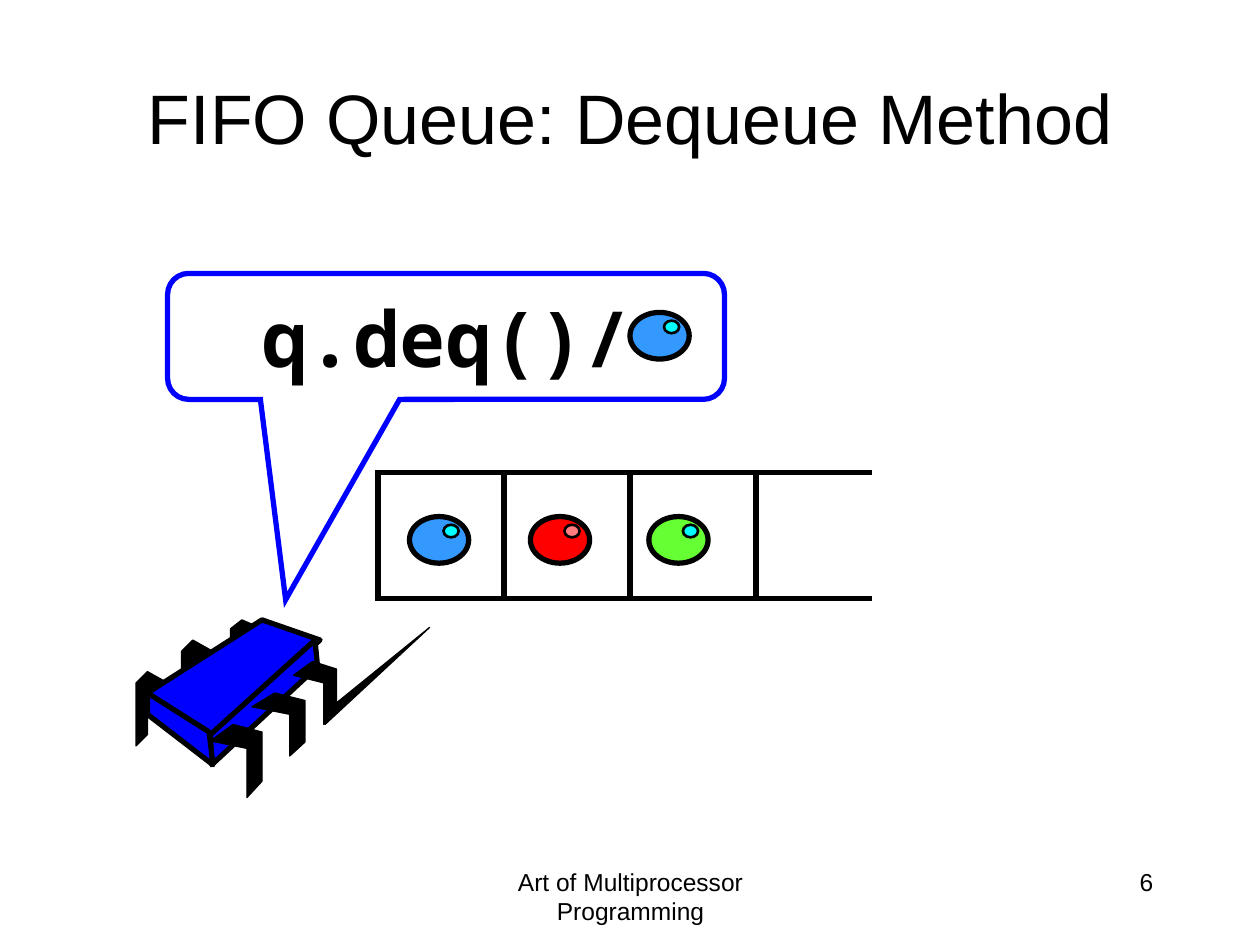
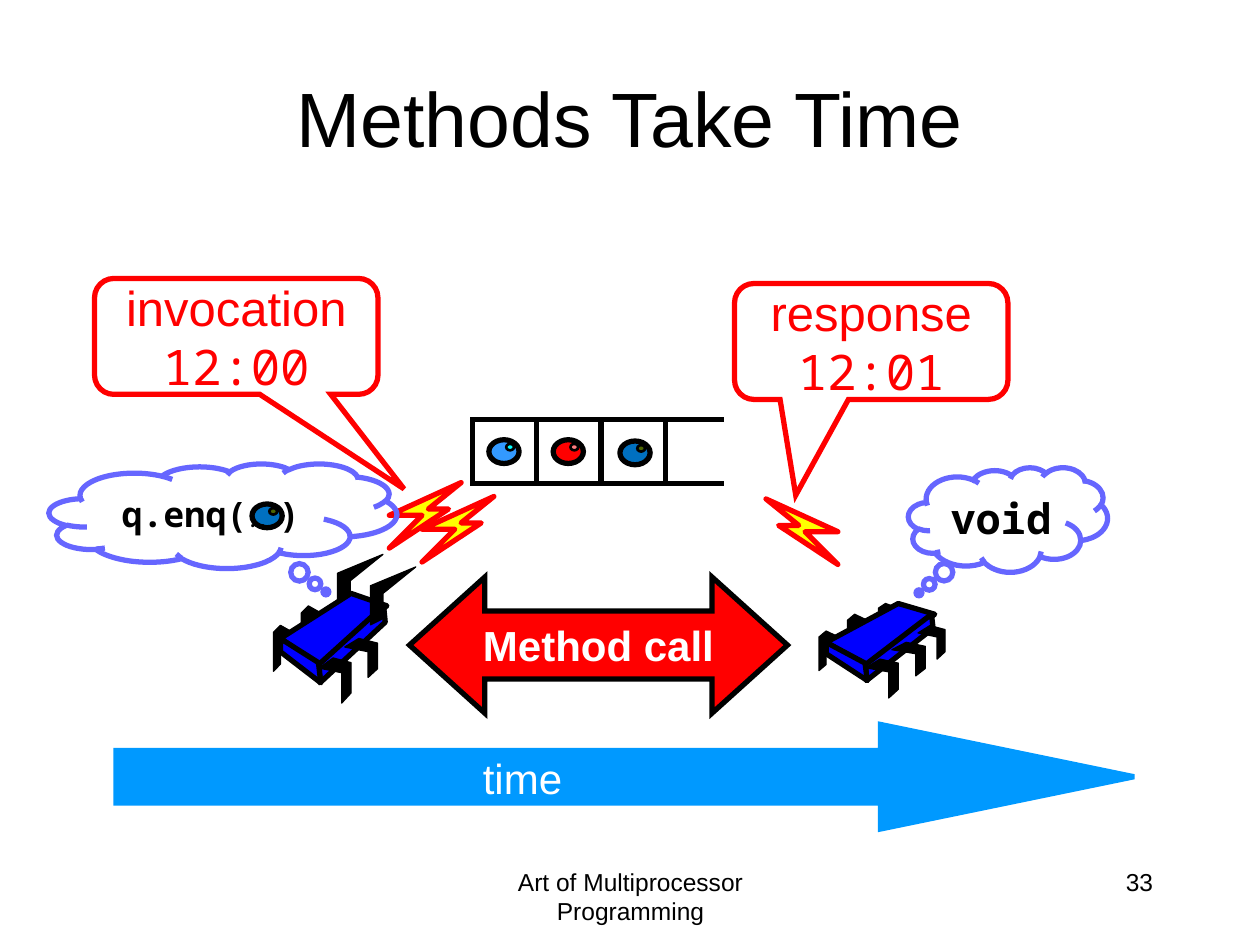
import pptx
import pptx.util
import pptx.dml.color
import pptx.enum.shapes
import pptx.enum.text
import pptx.oxml.ns
import lxml.etree

SHAPE = pptx.enum.shapes.MSO_SHAPE
ALIGN = pptx.enum.text.PP_ALIGN
ANCHOR = pptx.enum.text.MSO_ANCHOR
EMU_PER_PX = 9144  # 100 px to the inch

# Shared look
BLACK, WHITE, RED, BLUE = "000000", "FFFFFF", "FF0000", "0000FF"
CLOUD_LINE, TIME_BLUE, YELLOW = "6666FF", "0099FF", "FFFF00"
SANS, MONO = "Arial", "Noto Sans Mono"
THICK, THIN, HAIR = 3, 1.5, 0.75
FOOTER = "Art of Multiprocessor Programming"

# Ball colours: body, glint
BALLS = {
    "blue": ("3399FF", "00FFFF"),
    "red": (RED, "FF7C80"),
    "green": ("66FF33", "00FFFF"),
    "navy": ("0070C0", "4C6600"),
}

# Outlines, each in px from its own top left corner
BUG_SIZE = (159, 141)
BACK_LEG = [(25, 9), (9, 0), (0, 9), (0, 59), (9, 50), (9, 17), (25, 25)]
BUG_PARTS = {
    "back left leg": (BLACK, [(x, y + 41) for x, y in BACK_LEG]),
    "back middle leg": (BLACK, [(x + 36, y + 16) for x, y in BACK_LEG]),
    "back right leg": (BLACK, [(100, 7), (84, 0), (75, 7), (75, 50),
                               (84, 43), (84, 14), (100, 21)]),
    "top": (BLUE, [(100, 0), (9, 58), (60, 93), (146, 16)]),
    "side": (BLUE, [(142, 16), (59, 91), (60, 115), (144, 37)]),
    "end": (BLUE, [(9, 58), (9, 75), (61, 115), (58, 89)]),
    "front left leg": (BLACK, [(77, 83), (59, 96), (88, 102), (88, 141),
                               (100, 128), (100, 89)]),
    "front middle leg": (BLACK, [(110, 58), (92, 69), (122, 75), (122, 108),
                                 (134, 97), (134, 64)]),
    "front right leg": (BLACK, [(140, 33), (125, 44), (149, 50), (149, 83),
                                (159, 72), (159, 39)]),
}
RIGHT_LEGS = ("back right leg", "front right leg")
LONG_ARM = [(0, 77), (9, 60), (83, 0)]
BENT_ARM = [(0, 46), (10, 41), (10, 21), (36, 0), (0, 15)]
BOLT = [(0, 52), (26, 26), (0, 26), (57, 0), (31, 21), (47, 21)]
BOLT_WIDTH = 57

# Slide content: places are left, top, width, height
DEQUEUE = {
    "title": ("FIFO Queue: Dequeue Method", 40),
    "number": "6",
    "queue": (300, 375, 100),
    "balls": [("green", 515, 410), ("red", 421, 410), ("blue", 325, 410)],
    "bug": (108, 492, 159, 141),
    "arm": (258, 498),
    "call": ((133, 217, 442, 100), (-0.288, 2.09, 0.167), [("q.deq()/", MONO, 44)]),
    "returned ball": ("blue", 500, 248),
}
METHODS = {
    "title": ("Methods Take Time", 44),
    "number": "33",
    "queue": (375, 333, 51),
    "balls": [("blue", 388, 349), ("red", 439, 349), ("navy", 492, 350)],
    "method arrow": (325, 458, 300, 108),
    "time arrow": (92, 575, 808, 83),
    "time label": (372, 592, 84, 50),
    "events": [
        ((75, 221, 225, 92), (0.592, 1.316, 0.167),
         [("invocation ", SANS, 28), ("12:00", MONO, 28)]),
        ((583, 225, 217, 92), (-0.276, 1.326, 0.167),
         [("response ", SANS, 28), ("12:01", MONO, 28)]),
    ],
    "bolts": [(309, 383, False), (335, 394, False), (608, 396, True)],
    "caller bug": (217, 471, 98, 87),
    "caller arms": [(268, 440), (294, 450)],
    "argument ball": ("navy", 200, 400),
    "returning bug": (650, 479, 100, 75),
    "clouds": [
        ((721, 371, 158, 83), (-0.447, 0.7), [("void", MONO, 24)]),
        ((39, 368, 276, 83), (0.296, 0.727),
         [("q.enq(", MONO, 20), ("...", MONO, 10), (")", MONO, 20)]),
    ],
}


def px(length):
    return pptx.util.Emu(round(length * EMU_PER_PX))


def color(code):
    return pptx.dml.color.RGBColor.from_string(code)


def tag(parent, name):
    return lxml.etree.SubElement(parent, pptx.oxml.ns.qn(name))


def paint(shape, fill, line, width):
    shape.shadow.inherit = False
    if fill:
        shape.fill.solid()
        shape.fill.fore_color.rgb = color(fill)
    else:
        shape.fill.background()
    shape.line.color.rgb = color(line)
    shape.line.width = pptx.util.Pt(width)


def write(shape, spans, ink, align=ALIGN.CENTER, bold=False, wrap=True,
          anchor=ANCHOR.MIDDLE):
    """Write one paragraph made of (text, font, size) spans."""
    frame = shape.text_frame
    frame.word_wrap = wrap
    frame.vertical_anchor = anchor
    para = frame.paragraphs[0]
    para.alignment = align
    para.font.bold = bold
    para.font.color.rgb = color(ink)
    alike = len({span[1:] for span in spans}) == 1
    for text, font, size in spans:
        span = para.add_run()
        span.text = text
        target = para.font if alike else span.font
        target.name = font
        target.size = pptx.util.Pt(size)


def add_text(page, place, text, size, ink=BLACK, **options):
    box = page.shapes.add_textbox(*map(px, place))
    write(box, [(text, SANS, size)], ink, **options)
    return box


def add_preset(page, kind, place, fill, line, width=THICK, adjust=()):
    shape = page.shapes.add_shape(kind, *map(px, place))
    for index, value in enumerate(adjust):
        shape.adjustments[index] = value
    paint(shape, fill, line, width)
    # Sharp corners on the outline
    outline = shape._element.spPr.find(pptx.oxml.ns.qn("a:ln"))
    tag(outline, "a:miter").set("lim", "800000")
    return shape


def add_outline(page, points, left, top, fill, line, width):
    corners = [(px(left + x), px(top + y)) for x, y in points]
    builder = page.shapes.build_freeform(*corners[0])
    builder.add_line_segments(corners[1:], close=True)
    paint(builder.convert_to_shape(), fill, line, width)


def add_line(page, x1, y1, x2, y2):
    line = page.shapes.add_connector(
        pptx.enum.shapes.MSO_CONNECTOR.STRAIGHT, px(x1), px(y1), px(x2), px(y2))
    line.line.color.rgb = color(BLACK)
    line.line.width = pptx.util.Pt(THICK)
    tag(line._element.spPr, "a:effectLst")


def add_ball(page, kind, left, top, scale=1.0):
    body, glint = BALLS[kind]
    add_preset(page, SHAPE.OVAL, (left, top, 47 * scale, 37 * scale), body, BLACK)
    add_preset(page, SHAPE.OVAL,
               (left + 27 * scale, top + 6.5 * scale, 12 * scale, 10 * scale),
               glint, BLACK, THIN)


def add_queue(page, left, top, cell):
    for index in range(3):
        add_preset(page, SHAPE.RECTANGLE, (left + index * cell, top, cell, cell),
                   None, BLACK)
    # The open end overlaps the last cell a little
    start = left + 2.92 * cell
    for y in (top, top + cell):
        add_line(page, start, y, start + cell, y)


def add_bug(page, place, skip=()):
    left, top, width, height = place
    across, down = width / BUG_SIZE[0], height / BUG_SIZE[1]
    for name, (fill, points) in BUG_PARTS.items():
        if name not in skip:
            scaled = [(x * across, y * down) for x, y in points]
            add_outline(page, scaled, left, top, fill, BLACK,
                        THICK if fill == BLUE else HAIR)


def add_arm(page, points, left, top):
    add_outline(page, points, left, top, BLACK, BLACK, HAIR)


def add_bolt(page, left, top, mirrored):
    points = [(BOLT_WIDTH - x if mirrored else x, y) for x, y in BOLT]
    add_outline(page, points, left, top, YELLOW, RED, THICK)


def add_callout(page, kind, callout, line, ink, bold):
    place, adjust, spans = callout
    shape = add_preset(page, kind, place, None, line, adjust=adjust)
    write(shape, spans, ink, bold=bold)


def start_page(deck, content):
    page = deck.slides.add_slide(deck.slide_layouts[6])
    add_text(page, (342, 683, 317, 50), FOOTER, 14, anchor=ANCHOR.TOP)
    add_text(page, (717, 683, 208, 50), content["number"], 14,
             align=ALIGN.RIGHT, anchor=ANCHOR.TOP)
    add_text(page, (50, 30, 900, 125), *content["title"])
    return page


def build_dequeue(deck):
    page = start_page(deck, DEQUEUE)
    add_queue(page, *DEQUEUE["queue"])
    add_bug(page, DEQUEUE["bug"])
    add_arm(page, LONG_ARM, *DEQUEUE["arm"])
    add_callout(page, SHAPE.ROUNDED_RECTANGULAR_CALLOUT, DEQUEUE["call"],
                BLUE, BLACK, True)
    for ball in DEQUEUE["balls"] + [DEQUEUE["returned ball"]]:
        add_ball(page, *ball)


def build_methods(deck):
    page = start_page(deck, METHODS)
    # Queue and method call
    add_queue(page, *METHODS["queue"])
    for ball in METHODS["balls"]:
        add_ball(page, *ball, scale=0.51)
    arrow = add_preset(page, SHAPE.LEFT_RIGHT_ARROW, METHODS["method arrow"],
                       RED, BLACK, adjust=(0.5, 0.554))
    write(arrow, [("Method call", SANS, 24)], WHITE, bold=True, wrap=False)

    # Invocation and response
    for event in METHODS["events"]:
        add_callout(page, SHAPE.ROUNDED_RECTANGULAR_CALLOUT, event, RED, RED, False)
    for bolt in METHODS["bolts"]:
        add_bolt(page, *bolt)

    # Threads
    back_arm, front_arm = METHODS["caller arms"]
    add_arm(page, BENT_ARM, *back_arm)
    add_bug(page, METHODS["caller bug"], skip=RIGHT_LEGS)
    add_arm(page, BENT_ARM, *front_arm)
    add_bug(page, METHODS["returning bug"])

    # Time line
    add_preset(page, SHAPE.RIGHT_ARROW, METHODS["time arrow"], TIME_BLUE,
               TIME_BLUE, adjust=(0.5, 2.425))
    add_text(page, METHODS["time label"], "time", 24, WHITE,
             align=ALIGN.RIGHT, wrap=False, anchor=ANCHOR.TOP)

    # Thoughts
    add_ball(page, *METHODS["argument ball"], scale=0.51)
    for cloud in METHODS["clouds"]:
        add_callout(page, SHAPE.CLOUD_CALLOUT, cloud, CLOUD_LINE, BLACK, True)


def main():
    deck = pptx.Presentation()
    deck.slide_width, deck.slide_height = px(1000), px(750)
    build_dequeue(deck)
    build_methods(deck)
    deck.save("out.pptx")


if __name__ == "__main__":
    main()
